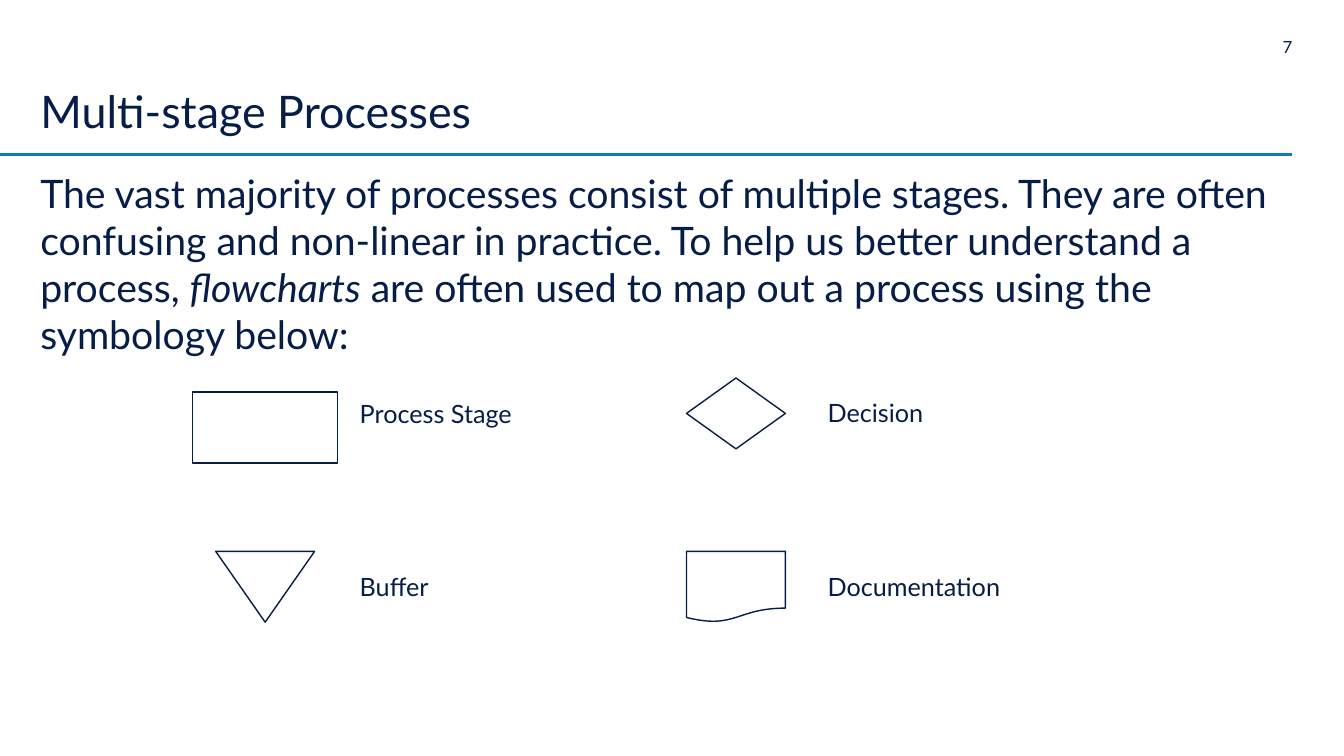
from dataclasses import dataclass

from lxml import etree
from pptx import Presentation
from pptx import util as u
from pptx.dml.color import RGBColor
from pptx.enum import shapes, text

WIDTH, HEIGHT = u.Inches(13.33), u.Inches(7.5)


@dataclass(frozen=True)
class Theme:
    font: str = "Lato"
    ink: RGBColor = RGBColor(0x06, 0x1D, 0x48)
    accent: RGBColor = RGBColor(0x09, 0x7E, 0xB1)
    title: int = 32
    body: int = 28
    label: int = 18
    number: int = 12
    rule: float = 2.25
    outline: float = 1


THEME = Theme()
NO_INSETS = dict.fromkeys(
    ("margin_left", "margin_top", "margin_right", "margin_bottom"), 0)

# Percentages of the slide's width (columns) and height (rows)
LEFT_MARGIN, RIGHT_MARGIN = 3, 96.15
SYMBOL_CENTERS = (19.73, 54.76)
LABEL_LEFTS = (26.03, 60.84)
SYMBOL_WIDTH, SYMBOL_HEIGHT = 7.36, 9.37
STAGE_WIDTH = 10.8
LOWER_SYMBOLS, LOWER_LABELS = 72.93, 74.93

SHAPE = shapes.MSO_SHAPE
# column, preset, width, top, rotation, label, label top
SYMBOLS = (
    (0, SHAPE.RECTANGLE, STAGE_WIDTH, 51.87, 0, "Process Stage", 52),
    (0, SHAPE.ISOSCELES_TRIANGLE, SYMBOL_WIDTH, LOWER_SYMBOLS, 180,
     "Buffer", LOWER_LABELS),
    (1, SHAPE.FLOWCHART_DECISION, SYMBOL_WIDTH, 50, 0, "Decision", 51.87),
    (1, SHAPE.FLOWCHART_DOCUMENT, SYMBOL_WIDTH, LOWER_SYMBOLS, 0,
     "Documentation", LOWER_LABELS),
)


def across(percent):
    return round(WIDTH * percent / 100)


def down(percent):
    return round(HEIGHT * percent / 100)


def place(left, top, width, height):
    """Turn percentages of the slide into lengths."""
    return across(left), down(top), across(width), down(height)


def apply(target, values):
    for name, value in values.items():
        setattr(target, name, value)


def write(box, spans, size, frame_format=None, para_format=None):
    """Fill a box with one paragraph of (words, italic) spans."""
    frame = box.text_frame
    apply(frame, {"word_wrap": True, "auto_size": text.MSO_AUTO_SIZE.NONE,
                  **(frame_format or {})})
    para = frame.paragraphs[0]
    apply(para, {"alignment": text.PP_ALIGN.LEFT, **(para_format or {})})
    for words, italic in spans:
        span = para.add_run()
        span.text = words
        apply(span.font, {"name": THEME.font, "size": u.Pt(size),
                          "italic": italic})
        span.font.color.rgb = THEME.ink


def add_title(page, words):
    title = page.shapes.title
    apply(title, dict(zip(("left", "top", "width", "height"),
                          place(LEFT_MARGIN, 4.53, 81, 13.73))))
    write(title, [(words, None)], THEME.title,
          {**NO_INSETS, "vertical_anchor": text.MSO_ANCHOR.BOTTOM},
          {"line_spacing": 0.9})


def add_text(page, area, spans, size, frame_format=None, para_format=None):
    box = page.shapes.add_textbox(*place(*area))
    write(box, spans, size, frame_format, para_format)


def add_rule(page, row):
    rule = page.shapes.add_connector(
        shapes.MSO_CONNECTOR.STRAIGHT,
        0, down(row), across(RIGHT_MARGIN), down(row))
    rule.line.color.rgb = THEME.accent
    rule.line.width = u.Pt(THEME.rule)
    properties = rule._element.spPr
    namespace = etree.QName(properties[0]).namespace
    etree.SubElement(properties, f"{{{namespace}}}effectLst")


def add_symbol(page, column, preset, width, top, rotation, label, label_top):
    """Draw an outlined flowchart symbol with its label to the right."""
    left = SYMBOL_CENTERS[column] - width / 2
    symbol = page.shapes.add_shape(
        preset, *place(left, top, width, SYMBOL_HEIGHT))
    symbol.rotation = rotation
    symbol.shadow.inherit = False
    symbol.fill.background()
    symbol.line.color.rgb = THEME.ink
    symbol.line.width = u.Pt(THEME.outline)
    add_text(page, (LABEL_LEFTS[column], label_top, 15.83, 5.33),
             [(label, None)], THEME.label)


def main():
    deck = Presentation()
    deck.slide_width, deck.slide_height = WIDTH, HEIGHT
    page = deck.slides.add_slide(deck.slide_layouts.get_by_name("Title Only"))

    add_rule(page, 20.4)
    add_text(page, (RIGHT_MARGIN - 3.08, 4.8, 3.08, 2.67), [("7", None)],
             THEME.number, NO_INSETS, {"alignment": text.PP_ALIGN.RIGHT})
    add_title(page, "Multi-stage Processes")
    add_text(page, (LEFT_MARGIN, 22.4, 94.05, 27.07), [
        ("The vast majority of processes consist of multiple stages. They are "
         "often confusing and non-linear in practice. To help us better "
         "understand a process, ", None),
        ("flowcharts", True),
        (" are often used to map out a process using the symbology below:",
         None),
    ], THEME.body, NO_INSETS, {"space_before": u.Pt(10)})
    for symbol in SYMBOLS:
        add_symbol(page, *symbol)

    deck.save("out.pptx")


if __name__ == "__main__":
    main()
